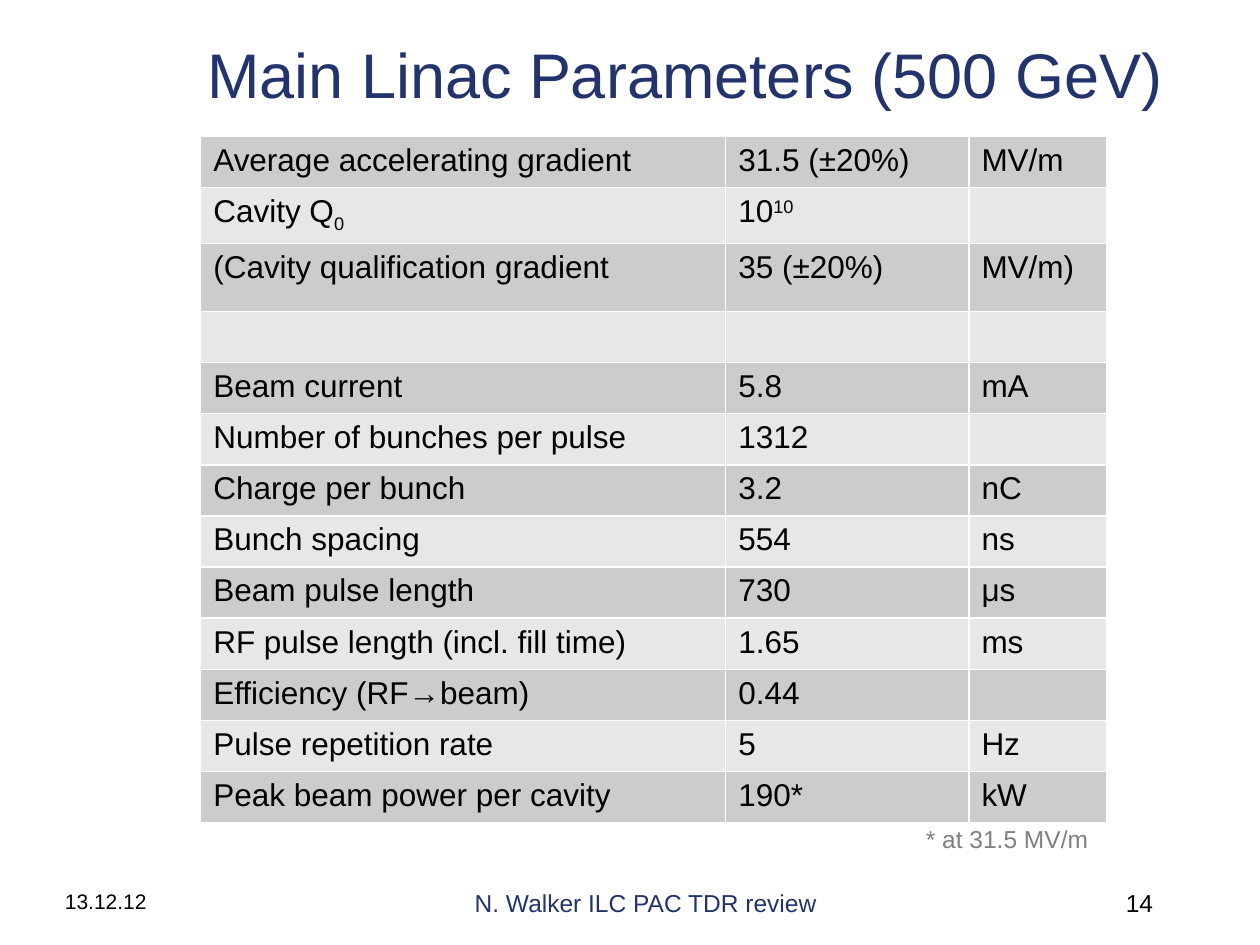
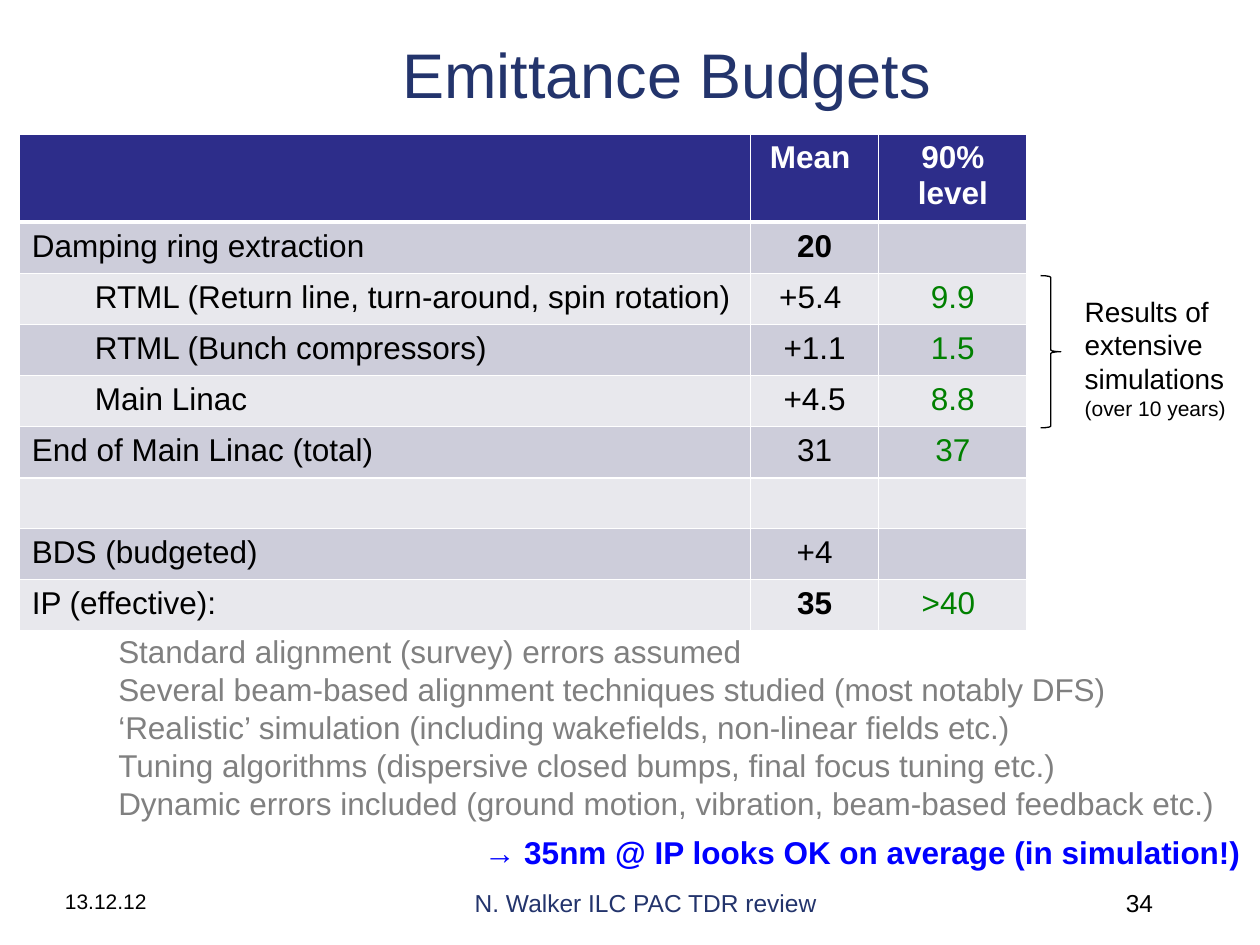
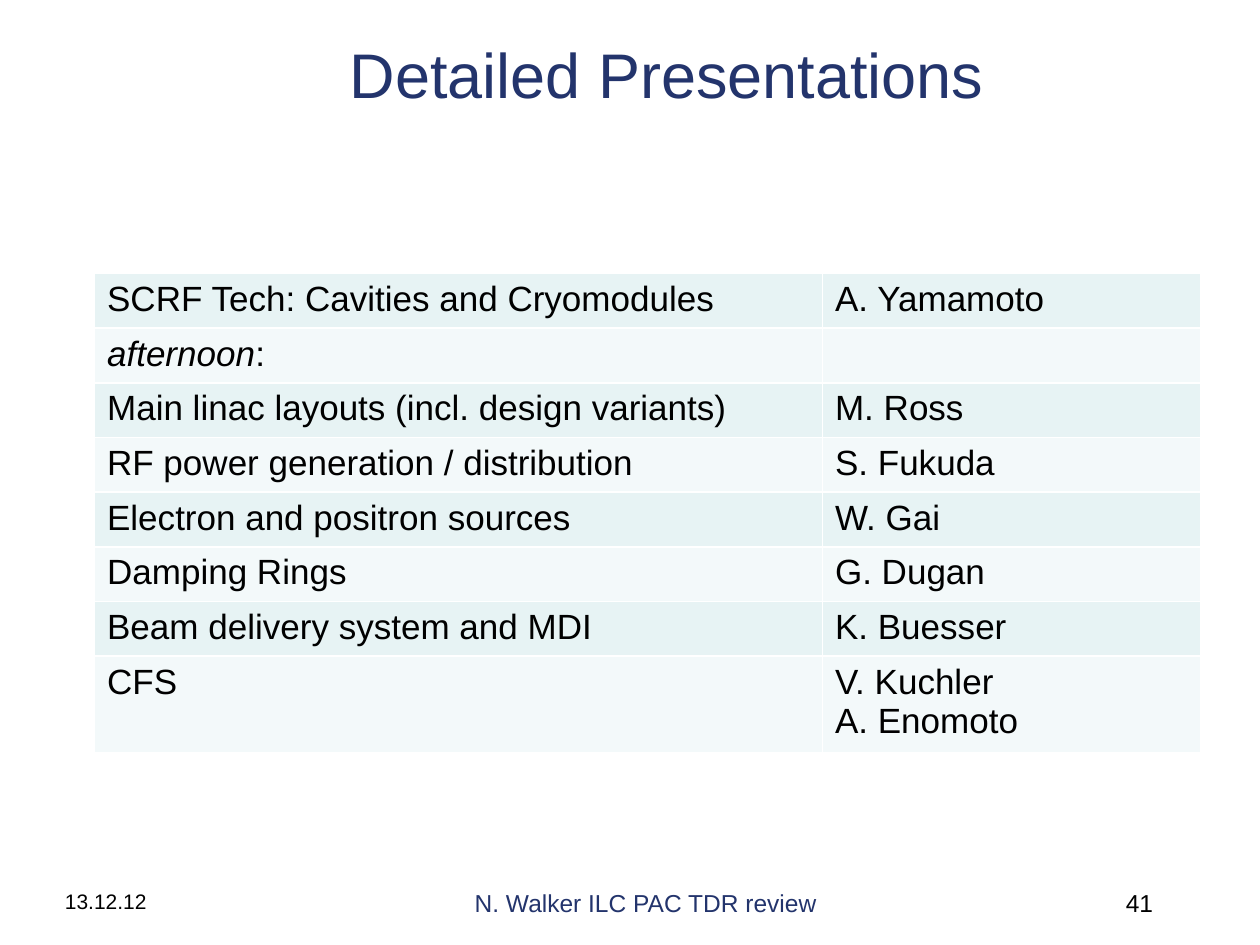
from pptx import Presentation
from pptx.dml.color import RGBColor
from pptx.enum.shapes import MSO_SHAPE
from pptx.enum.text import MSO_ANCHOR, PP_ALIGN
from pptx.oxml import parse_xml
from pptx.oxml.ns import nsdecls
from pptx.util import Pt

FONT = "Arial"
NAVY = RGBColor(0x23, 0x34, 0x6C)
BLACK = RGBColor(0x00, 0x00, 0x00)
WHITE = RGBColor(0xFF, 0xFF, 0xFF)
GREY = RGBColor(0x80, 0x80, 0x80)
GREEN = RGBColor(0x00, 0x80, 0x00)
BLUE = RGBColor(0x00, 0x00, 0xFF)
HEADER_FILL = RGBColor(0x2D, 0x2D, 0x8A)
GREY_BANDS = (RGBColor(0xCC, 0xCC, 0xCC), RGBColor(0xE7, 0xE7, 0xE7))
VIOLET_BANDS = (RGBColor(0xCD, 0xCD, 0xDA), RGBColor(0xE8, 0xE8, 0xED))
AQUA_BANDS = (RGBColor(0xE7, 0xF3, 0xF4), RGBColor(0xF3, 0xF9, 0xFA))

ROW = 29.25
LINE_SPACING = 1.2

PARAMETERS = [
    ("Average accelerating gradient", "31.5 (±20%)", "MV/m"),
    ([("Cavity Q", 0), ("0", -25)], [("10", 0), ("10", 30)], ""),
    ("(Cavity qualification gradient", "35 (±20%)", "MV/m)"),
    ("", "", ""),
    ("Beam current", "5.8", "mA"),
    ("Number of bunches per pulse", "1312", ""),
    ("Charge per bunch", "3.2", "nC"),
    ("Bunch spacing", "554", "ns"),
    ("Beam pulse length", "730", "μs"),
    ("RF pulse length (incl. fill time)", "1.65", "ms"),
    ("Efficiency (RF→beam)", "0.44", ""),
    ("Pulse repetition rate", "5", "Hz"),
    ("Peak beam power per cavity", "190*", "kW"),
]

BUDGETS = [
    ("", "Mean ", "90% level"),
    ("Damping ring extraction", "20", ""),
    ("RTML (Return line, turn-around, spin rotation)", "+5.4 ", "9.9"),
    ("RTML (Bunch compressors)", "+1.1", "1.5"),
    ("Main Linac", "+4.5", "8.8"),
    ("End of Main Linac (total)", "31", "37"),
    ("", "", ""),
    ("BDS (budgeted)", "+4", ""),
    ("IP (effective):", "35", ">40 "),
]
INDENTED_ROWS = (2, 3, 4)
BOLD_MEANS = ("20", "35")

ASSUMPTIONS = [
    "Standard alignment (survey) errors assumed",
    "Several beam-based alignment techniques studied (most notably DFS)",
    "‘Realistic’ simulation (including wakefields, non-linear fields etc.)",
    "Tuning algorithms (dispersive closed bumps, final focus tuning etc.)",
    "Dynamic errors included (ground motion, vibration, beam-based feedback etc.)",
]

TALKS = [
    ("SCRF Tech: Cavities and Cryomodules", "A. Yamamoto"),
    ("afternoon:", ""),
    ("Main linac layouts (incl. design variants)", "M. Ross"),
    ("RF power generation / distribution", "S. Fukuda"),
    ("Electron and positron sources", "W. Gai"),
    ("Damping Rings", "G. Dugan"),
    ("Beam delivery system and MDI", "K. Buesser"),
    ("CFS", "V. Kuchler\vA. Enomoto"),
]


def add_run(paragraph, text, size, color=BLACK, bold=False, italic=False, baseline=0):
    run = paragraph.add_run()
    run.text = text
    font = run.font
    font.name, font.size, font.bold, font.italic = FONT, Pt(size), bold, italic
    font.color.rgb = color
    if baseline:
        run._r.get_or_add_rPr().set("baseline", str(baseline * 1000))


def add_text(slide, box, lines, color=BLACK, align=PP_ALIGN.LEFT,
             anchor=MSO_ANCHOR.TOP, bold=False, wrap=True, spacing=None):
    frame = slide.shapes.add_textbox(*map(Pt, box)).text_frame
    frame.word_wrap = wrap
    frame.vertical_anchor = anchor
    for index, (text, size) in enumerate(lines):
        paragraph = frame.add_paragraph() if index else frame.paragraphs[0]
        paragraph.alignment = align
        if spacing:
            paragraph.line_spacing = Pt(size * spacing)
        add_run(paragraph, text, size, color, bold)


def set_borders(cell, bottom_width):
    properties = cell._tc.get_or_add_tcPr()
    for side, width in (("L", 1), ("R", 1), ("T", 1), ("B", bottom_width)):
        properties.append(parse_xml(
            f'<a:ln{side} {nsdecls("a")} w="{Pt(width)}"><a:solidFill>'
            f'<a:srgbClr val="{WHITE}"/></a:solidFill></a:ln{side}>'))


def add_banded_table(slide, left, top, widths, heights, bands, write_cell,
                     rows, size, header_fill=None):
    table = slide.shapes.add_table(
        len(heights), len(widths), Pt(left), Pt(top),
        Pt(sum(widths)), Pt(sum(heights))).table
    table.first_row = table.horz_banding = False
    for column, width in zip(table.columns, widths):
        column.width = Pt(width)
    header_count = 1 if header_fill else 0
    for row_index, (height, values) in enumerate(zip(heights, rows)):
        table.rows[row_index].height = Pt(height)
        is_header = row_index < header_count
        for column_index, value in enumerate(values):
            cell = table.cell(row_index, column_index)
            set_borders(cell, 3 if is_header else 1)
            cell.fill.solid()
            cell.fill.fore_color.rgb = (
                header_fill if is_header else bands[(row_index - header_count) % 2])
            paragraph = cell.text_frame.paragraphs[0]
            if value:
                write_cell(paragraph, row_index, column_index, value)
            else:
                paragraph.font.size = Pt(size)


def add_frame(presentation, title, number, title_width=558):
    slide = presentation.slides.add_slide(presentation.slide_layouts[6])
    add_text(slide, (102, 6, title_width, 72), [(title, 36)], NAVY,
             PP_ALIGN.CENTER, MSO_ANCHOR.MIDDLE)
    add_text(slide, (30, 504, 192, 36), [("13.12.12", 12)])
    add_text(slide, (222, 504, 294, 36), [("N. Walker ILC PAC TDR review", 14)],
             NAVY, PP_ALIGN.CENTER)
    add_text(slide, (516, 504, 150, 36), [(str(number), 14)], align=PP_ALIGN.RIGHT)
    return slide


def write_parameter(paragraph, row, column, value):
    parts = [(value, 0)] if isinstance(value, str) else value
    for text, baseline in parts:
        add_run(paragraph, text, 18, baseline=baseline)


def write_budget(paragraph, row, column, value):
    if column:
        paragraph.alignment = PP_ALIGN.CENTER
    elif row in INDENTED_ROWS:
        paragraph._p.get_or_add_pPr().set("marL", str(Pt(36)))
    color = WHITE if row == 0 else GREEN if column == 2 else BLACK
    add_run(paragraph, value, 18, color, bold=row == 0 or value in BOLD_MEANS)


def write_talk(paragraph, row, column, value):
    if value == "afternoon:":
        add_run(paragraph, value[:-1], 20, italic=True)
        add_run(paragraph, value[-1], 20)
        return
    for index, name in enumerate(value.split("\v")):
        if index:
            paragraph.add_line_break()
        add_run(paragraph, name, 20)


def add_parameters_slide(presentation):
    slide = add_frame(presentation, "Main Linac Parameters (500 GeV)", 14, 579)
    heights = [ROW, ROW, 38.9] + [ROW] * 10
    add_banded_table(slide, 114.7, 78, (300, 139, 78.5), heights, GREY_BANDS,
                     write_parameter, PARAMETERS, 18)
    add_text(slide, (522, 467.3, 108, 24.5), [("* at 31.5 MV/m", 14)], GREY, wrap=False)


def add_simulation_note(slide, left, top):
    brace = slide.shapes.add_shape(
        MSO_SHAPE.RIGHT_BRACE, Pt(left), Pt(top), Pt(11.5), Pt(87))
    brace.shadow.inherit = False
    brace.fill.background()
    brace.line.color.rgb = BLACK
    brace.line.width = Pt(0.75)
    add_text(slide, (left + 18, top + 7.2, 107.3, 80),
             [("Results of extensive simulations", 16), ("(over 10 years)", 12)],
             spacing=LINE_SPACING)


def add_budgets_slide(presentation):
    slide = add_frame(presentation, "Emittance Budgets", 34)
    heights = [ROW] * 6 + [13] + [ROW] * 2
    add_banded_table(slide, 11, 76.5, (418, 73, 85), heights, VIOLET_BANDS,
                     write_budget, BUDGETS, 18, HEADER_FILL)
    add_simulation_note(slide, 594.7, 157.5)
    add_text(slide, (60.5, 357.8, 647, 116.6), [(line, 18) for line in ASSUMPTIONS],
             GREY, wrap=False, spacing=LINE_SPACING)
    add_text(slide, (269.5, 472.5, 450.5, 29),
             [("→ 35nm @ IP looks OK on average (in simulation!)", 18)],
             BLUE, bold=True, wrap=False)


def add_talks_slide(presentation):
    slide = add_frame(presentation, "Detailed Presentations", 41)
    add_banded_table(slide, 54, 156.3, (416, 216), [ROW] * len(TALKS), AQUA_BANDS,
                     write_talk, TALKS, 20)


def main():
    presentation = Presentation()
    presentation.slide_width, presentation.slide_height = Pt(720), Pt(540)
    add_parameters_slide(presentation)
    add_budgets_slide(presentation)
    add_talks_slide(presentation)
    presentation.save("out.pptx")


if __name__ == "__main__":
    main()
